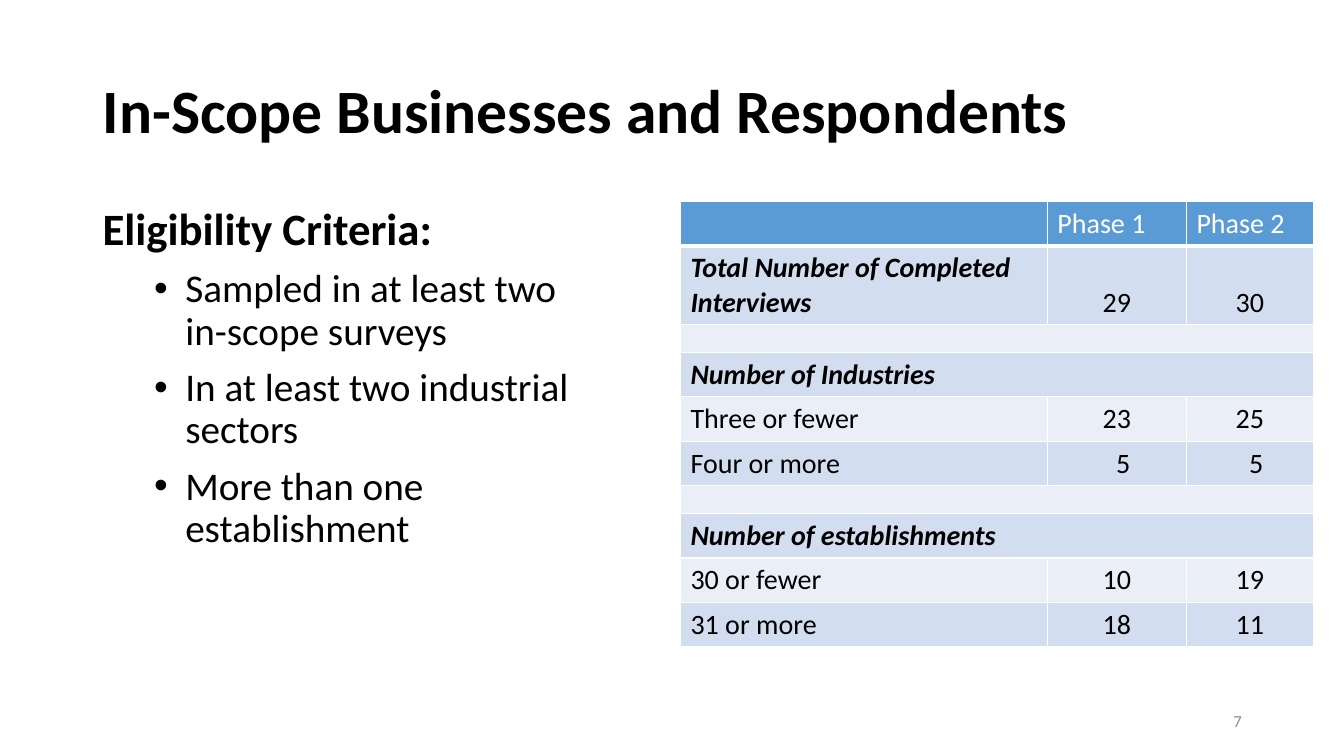
from lxml import etree
from pptx import Presentation
from pptx.dml.color import RGBColor
from pptx.enum.text import MSO_ANCHOR, PP_ALIGN
from pptx.oxml.ns import qn
from pptx.util import Inches, Pt

LEFT, CENTER, RIGHT = PP_ALIGN.LEFT, PP_ALIGN.CENTER, PP_ALIGN.RIGHT
TOP, MIDDLE, BOTTOM = MSO_ANCHOR.TOP, MSO_ANCHOR.MIDDLE, MSO_ANCHOR.BOTTOM
BLACK = RGBColor(0x00, 0x00, 0x00)
WHITE = RGBColor(0xFF, 0xFF, 0xFF)
GRAY = RGBColor(0x8C, 0x8C, 0x8C)
BLUE = RGBColor(0x5B, 0x9B, 0xD5)
BANDS = RGBColor(0xD2, 0xDE, 0xEF), RGBColor(0xEA, 0xEF, 0xF7)

TITLE = "In-Scope Businesses and Respondents"
HEAD = "Eligibility Criteria:"
POINTS = [
    "Sampled in at least two in-scope surveys",
    "In at least two industrial sectors",
    "More than one establishment",
]
COLS = [27.3, 10.35, 9.45]
LINE, TALL, GAP = 5.88, 10.4, 3.67
ROWS = [
    (LINE, ["", "Phase 1", "Phase 2"]),
    (TALL, ["Total Number of Completed Interviews", "29", "30"]),
    (GAP, [""]),
    (LINE, ["Number of Industries"]),
    (LINE, ["Three or fewer", "23", "25"]),
    (LINE, ["Four or more", "5", "5"]),
    (GAP, [""]),
    (LINE, ["Number of establishments"]),
    (LINE, ["30 or fewer", "10", "19"]),
    (LINE, ["31 or more", "18", "11"]),
]


class Deck:
    """Draws styled elements on one slide, with lengths in percent of its size."""

    def __init__(self, font):
        self.font = font
        self.prs = Presentation()
        self.prs.slide_width, self.prs.slide_height = Inches(13.33), Inches(7.5)
        self.slide = self.prs.slides.add_slide(self.prs.slide_layouts[5])

    def wide(self, share):
        return int(self.prs.slide_width * share / 100)

    def high(self, share):
        return int(self.prs.slide_height * share / 100)

    def area(self, x, y, w, h):
        return self.wide(x), self.high(y), self.wide(w), self.high(h)

    def style(self, para, size, color=BLACK, bold=False, italic=False, align=LEFT):
        para.alignment = align
        font = para.font
        font.name, font.size = self.font, Pt(size)
        font.bold, font.italic = bold, italic
        font.color.rgb = color

    def title(self, text, *area):
        shape = self.slide.shapes.title
        shape.left, shape.top, shape.width, shape.height = self.area(*area)
        frame = shape.text_frame
        frame.text, frame.vertical_anchor = text, MIDDLE
        frame.paragraphs[0].line_spacing = 0.9
        self.style(frame.paragraphs[0], 44, bold=True)

    def box(self, *area, anchor=TOP):
        frame = self.slide.shapes.add_textbox(*self.area(*area)).text_frame
        frame.word_wrap, frame.vertical_anchor = True, anchor
        return frame

    def list(self, head, points, *area):
        frame = self.box(*area)
        frame.text = head
        frame.paragraphs[0].line_spacing = 0.9
        self.style(frame.paragraphs[0], 32, bold=True)
        for point in points:
            para = frame.add_paragraph()
            para.text = point
            para.line_spacing, para.space_before = 0.9, Pt(10)
            props = para._p.get_or_add_pPr()
            props.set("marL", str(Inches(0.82)))
            props.set("indent", str(Inches(-0.31)))
            etree.SubElement(props, qn("a:buFont"), typeface="Arial")
            etree.SubElement(props, qn("a:buChar"), char="•")
            self.style(para, 28)

    def number(self, text, *area):
        frame = self.box(*area, anchor=MIDDLE)
        frame.text = text
        self.style(frame.paragraphs[0], 12, GRAY, align=RIGHT)

    def border(self, cell, foot):
        props = cell._tc.get_or_add_tcPr()
        for spot, side in enumerate(("L", "R", "T", "B")):
            width = foot if side == "B" else 1
            line = etree.Element(qn(f"a:ln{side}"), w=str(Pt(width)))
            fill = etree.SubElement(line, qn("a:solidFill"))
            etree.SubElement(fill, qn("a:srgbClr"), val=str(WHITE))
            props.insert(spot, line)

    def cell(self, cell, text, top, label, group, small):
        cell.fill.solid()
        cell.text = text
        para = cell.text_frame.paragraphs[0]
        if len(text) == 1:
            cell.margin_left = Inches(0.225)
        align = LEFT if top or label else CENTER
        color = WHITE if top else BLACK
        self.style(para, 8 if small else 20, color, group, group, align)

    def table(self, rows, cols, x, y):
        total = sum(height for height, _ in rows)
        area = self.area(x, y, sum(cols), total)
        table = self.slide.shapes.add_table(len(rows), len(cols), *area).table
        for col, share in zip(table.columns, cols):
            col.width = self.wide(share)
        for r, (height, texts) in enumerate(rows):
            table.rows[r].height = self.high(height)
            whole = len(texts) == 1
            if whole:
                table.cell(r, 0).merge(table.cell(r, len(cols) - 1))
            for c in range(len(cols)):
                cell = table.cell(r, c)
                text = texts[c] if c < len(texts) else ""
                group = c == 0 and (whole or height == TALL)
                self.cell(cell, text, r == 0, c == 0, group, height == GAP)
                cell.fill.fore_color.rgb = BANDS[(r - 1) % 2] if r else BLUE
                if height == TALL and c:
                    cell.vertical_anchor = BOTTOM
                self.border(cell, 1 if r else 3)


def main():
    deck = Deck("Calibri")
    deck.title(TITLE, 6.9, 5.33, 86.25, 19.33)
    deck.list(HEAD, POINTS, 6.9, 26.67, 38.33, 63.47)
    deck.table(ROWS, COLS, 50.63, 26.67)
    deck.number("7", 70.65, 92.67, 22.5, 5.33)
    deck.prs.save("out.pptx")


if __name__ == "__main__":
    main()
